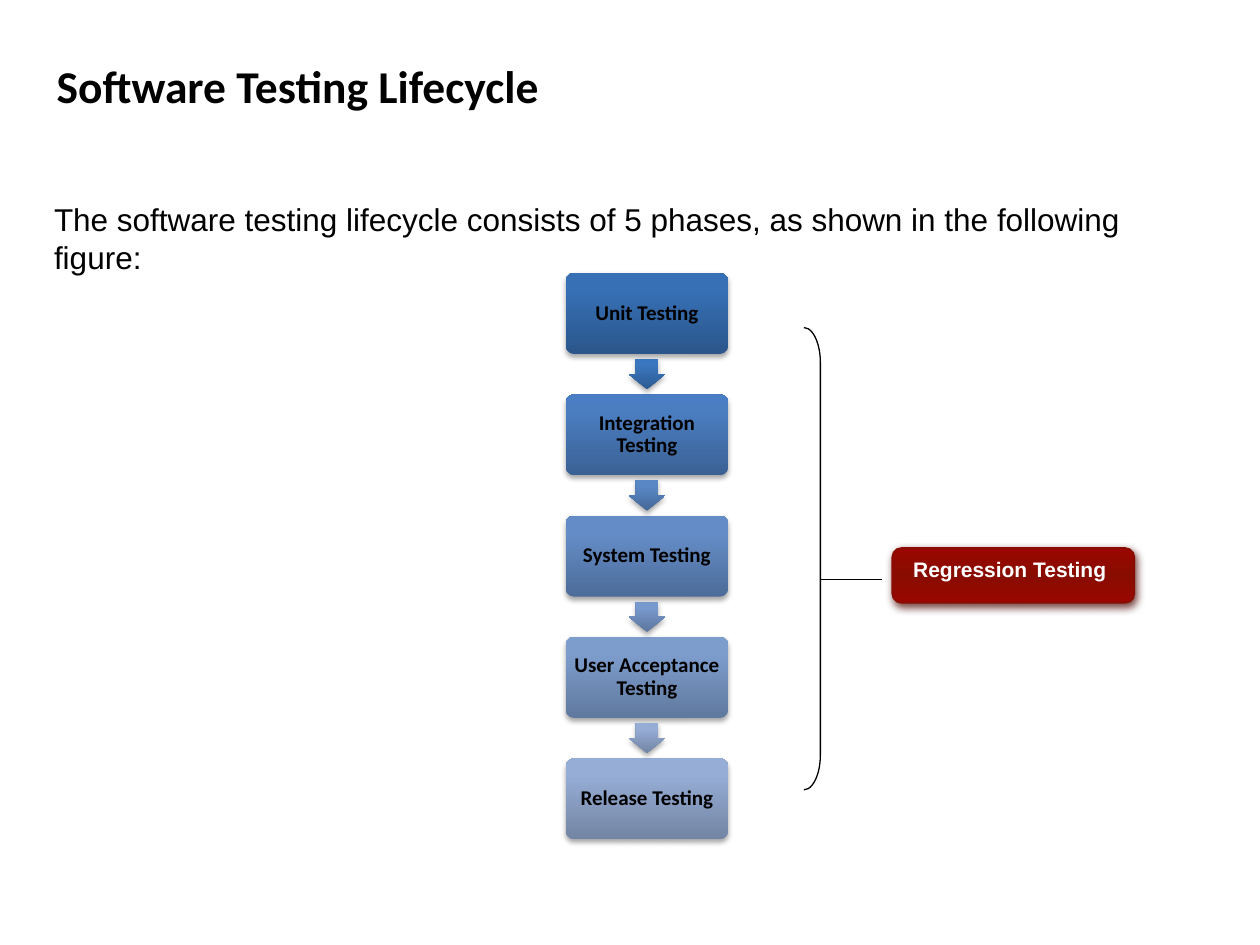
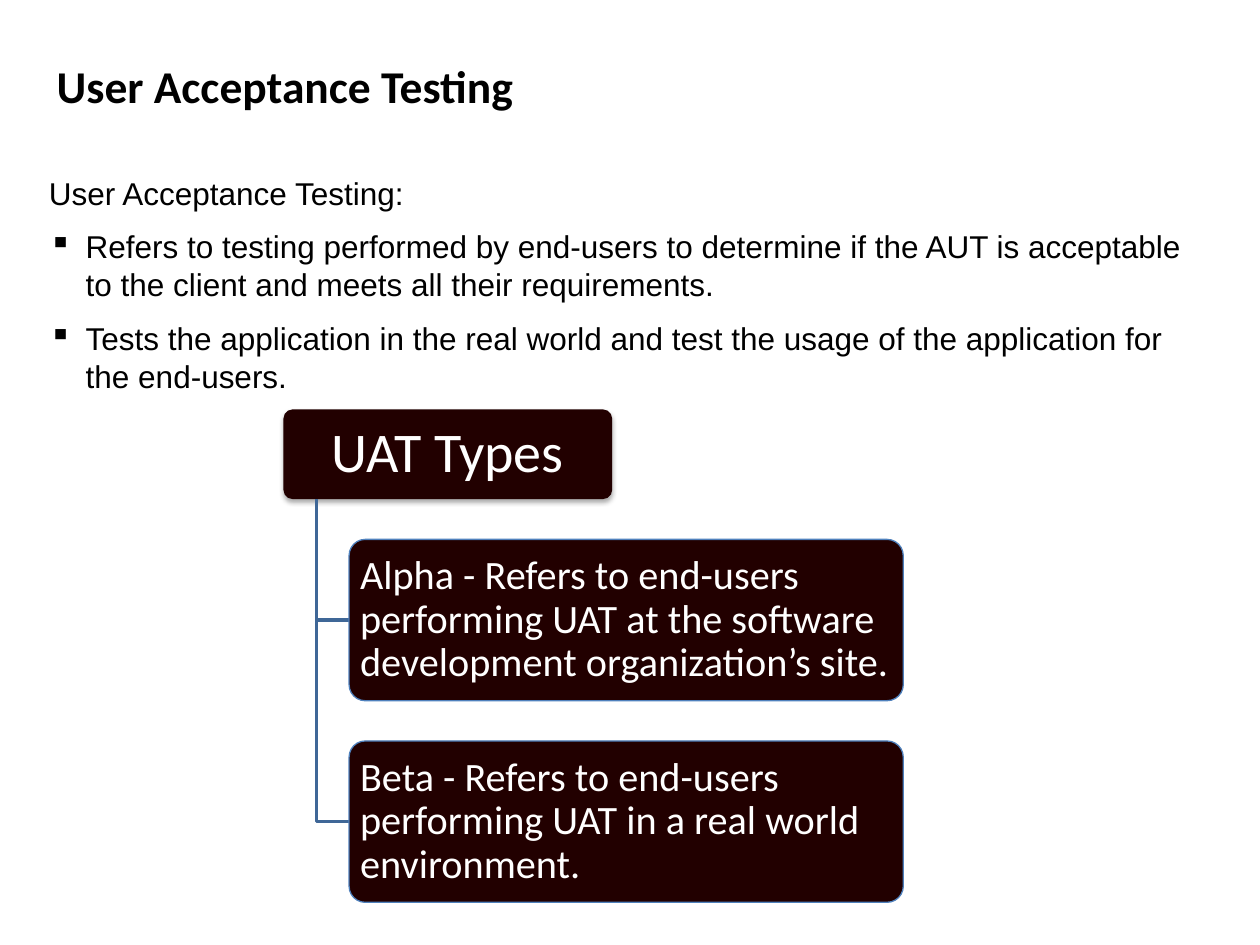
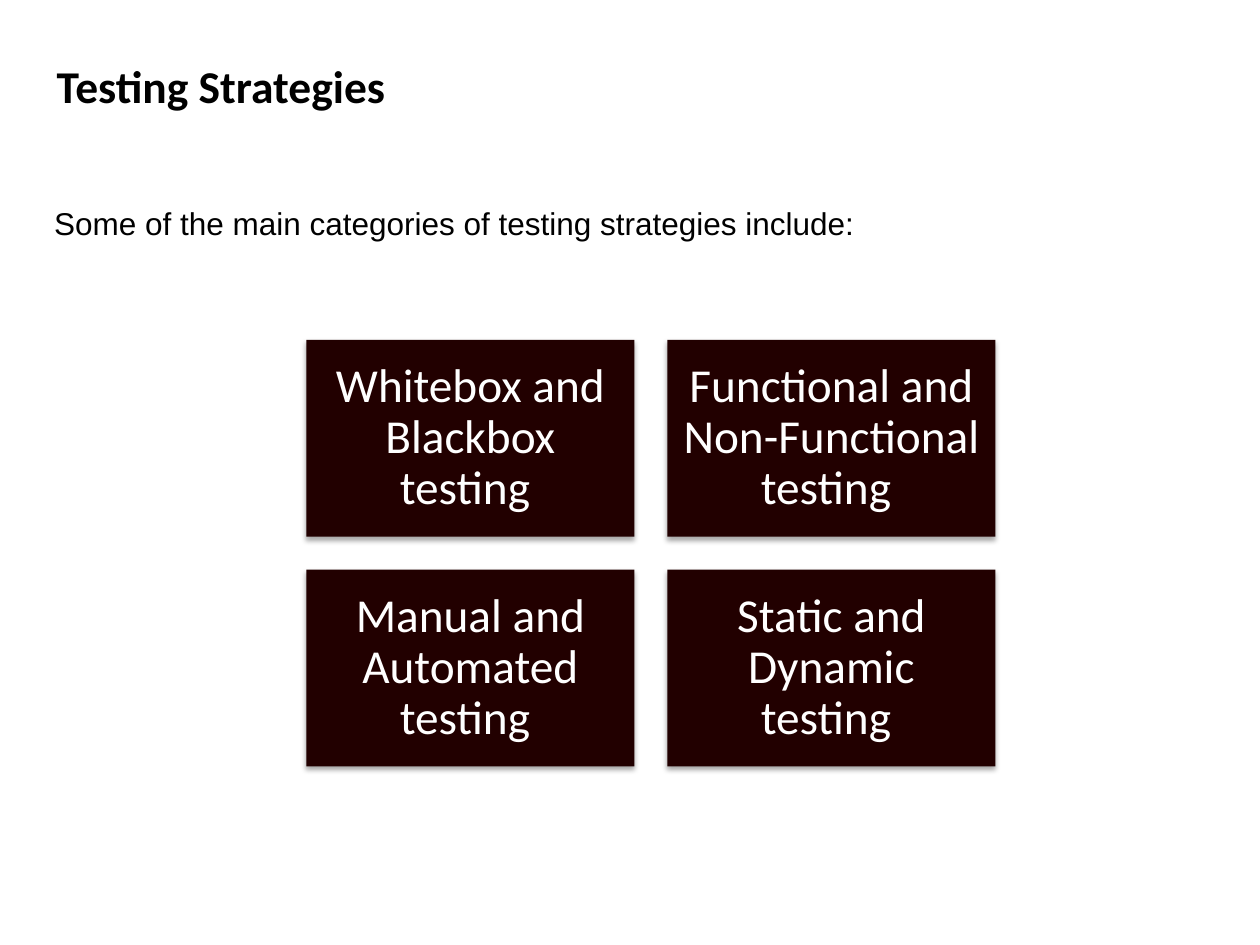
from lxml import etree
from pptx import Presentation
from pptx.dml.color import RGBColor
from pptx.enum.shapes import MSO_CONNECTOR, MSO_SHAPE
from pptx.enum.text import MSO_ANCHOR, MSO_AUTO_SIZE, PP_ALIGN
from pptx.oxml.ns import qn
from pptx.util import Pt

ROUNDED, RECTANGLE = MSO_SHAPE.ROUNDED_RECTANGLE, MSO_SHAPE.RECTANGLE
DOWN_ARROW, RIGHT_BRACKET = MSO_SHAPE.DOWN_ARROW, MSO_SHAPE.RIGHT_BRACKET
STRAIGHT = MSO_CONNECTOR.STRAIGHT
TOP, MIDDLE = MSO_ANCHOR.TOP, MSO_ANCHOR.MIDDLE
LEFT, CENTER = PP_ALIGN.LEFT, PP_ALIGN.CENTER
NO_FIT, GROW = MSO_AUTO_SIZE.NONE, MSO_AUTO_SIZE.SHAPE_TO_FIT_TEXT
TITLE_ONLY = 5

BLACK = RGBColor(0x00, 0x00, 0x00)
WHITE = RGBColor(0xFF, 0xFF, 0xFF)
MAROON = RGBColor(0x22, 0x00, 0x00)
RED = RGBColor(0x99, 0x07, 0x00)
DEEP_RED = RGBColor(0x89, 0x0C, 0x00)
RED_SHADE = RGBColor(0x49, 0x06, 0x00)
BLUE = RGBColor(0x4F, 0x81, 0xBD)
BRANCH_BLUE = RGBColor(0x3F, 0x67, 0x97)

HEAD_FONT, BODY_FONT = "Calibri", "Arial"
TITLE_BOX = (25.2, 3.6, 612, 90)
SOFT_SHADOW = (BLACK, 35, 3.1, 1.8, 90)
RED_SHADOW = (RED_SHADE, 75, 5, 2.3, 65)
BLUE_STOPS, RED_STOPS = (0, 80, 100), (0, 50, 100)

PHASES = [
    ("Unit Testing", ("2A568B", "3770B5", "3570B8")),
    ("Integration Testing", ("3A6194", "4B7EC1", "497EC4")),
    ("System Testing", ("4D6C99", "648DC7", "638DCA")),
    ("User Acceptance Testing", ("60799E", "7D9DCD", "7C9DD0")),
    ("Release Testing", ("7385A4", "96ADD5", "95ADD7")),
]
ARROWS = [
    ("2D5B92", "3A76BE", "3876C2"),
    ("446898", "5987C5", "5787C8"),
    ("5C769E", "7799CD", "7699CF"),
    ("7385A4", "95ACD5", "94ADD7"),
]
UAT_POINTS = [
    "Refers to testing performed by end-users to determine if the AUT is "
    "acceptable to the client and meets all their requirements.",
    "Tests the application in the real world and test the usage of the "
    "application for the end-users.",
]
UAT_TYPES = [
    "Alpha - Refers to end-users performing UAT at the software development "
    "organization’s site.",
    "Beta - Refers to end-users performing UAT in a real world environment.",
]
STRATEGIES = [
    "Whitebox and Blackbox testing ",
    "Functional and Non-Functional testing ",
    "Manual and Automated testing ",
    "Static and Dynamic testing ",
]


def points(*lengths):
    """Convert numbers of points to lengths."""
    return [Pt(length) for length in lengths]


def add_run(paragraph, text, size, font, color, bold=False):
    """Add one formatted run to a paragraph."""
    run = paragraph.add_run()
    run.text = text
    run.font.size, run.font.name, run.font.bold = Pt(size), font, bold
    run.font.color.rgb = color


def add_color(parent, color):
    """Append a colour element to an XML parent and return it."""
    return etree.SubElement(parent, qn("a:srgbClr"), val=str(color))


def add_shadow(shape, color, opacity, blur, distance, angle):
    """Give a shape an outer shadow."""
    effects = shape._element.spPr.find(qn("a:effectLst"))
    outer = etree.SubElement(
        effects, qn("a:outerShdw"), blurRad=str(Pt(blur)), dist=str(Pt(distance)),
        dir=str(angle * 60000), algn="ctr", rotWithShape="0")
    etree.SubElement(add_color(outer, color), qn("a:alpha"), val=str(opacity * 1000))


def fill_gradient(shape, positions, colors):
    """Fill a shape with a gradient that runs from bottom to top."""
    shape.fill.gradient()
    shape.fill.gradient_angle = 90
    stops = shape._element.spPr.find(qn("a:gradFill")).find(qn("a:gsLst"))
    stops.clear()
    for position, color in zip(positions, colors):
        add_color(etree.SubElement(stops, qn("a:gs"), pos=str(position * 1000)), color)


def add_panel(slide, kind, box, adjust=None, fill=None, line=None, shadow=None):
    """Add a preset shape with an optional solid fill, outline and shadow."""
    panel = slide.shapes.add_shape(kind, *points(*box))
    panel.shadow.inherit = False
    for index, value in enumerate(adjust or ()):
        panel.adjustments[index] = value
    if fill is None:
        panel.fill.background()
    else:
        panel.fill.solid()
        panel.fill.fore_color.rgb = fill
    if line is None:
        panel.line.fill.background()
    else:
        color, width = line
        panel.line.color.rgb, panel.line.width = color, Pt(width)
    if shadow:
        add_shadow(panel, *shadow)
    return panel


def write_label(panel, text, size, color, margins, align=CENTER, font=HEAD_FONT,
                bold=False, anchor=MIDDLE, spacing=0.9):
    """Write one paragraph inside a panel."""
    frame = panel.text_frame
    frame.word_wrap, frame.vertical_anchor = True, anchor
    side, edge = points(*margins)
    frame.margin_left = frame.margin_right = side
    frame.margin_top = frame.margin_bottom = edge
    paragraph = frame.paragraphs[0]
    paragraph.alignment, paragraph.line_spacing = align, spacing
    add_run(paragraph, text, size, font, color, bold)


def add_titled_slide(deck, heading):
    """Add a title-only slide and format its title."""
    slide = deck.slides.add_slide(deck.slide_layouts[TITLE_ONLY])
    title = slide.shapes.title
    title.left, title.top, title.width, title.height = points(*TITLE_BOX)
    frame = title.text_frame
    frame.word_wrap, frame.auto_size, frame.vertical_anchor = True, NO_FIT, MIDDLE
    frame.paragraphs[0].alignment = LEFT
    add_run(frame.paragraphs[0], heading, 26, HEAD_FONT, BLACK, True)
    return slide


def add_body(slide, box, lead, bullets=()):
    """Add a lead sentence followed by bulleted points."""
    frame = slide.shapes.add_textbox(*points(*box)).text_frame
    frame.word_wrap, frame.auto_size = True, GROW
    for index, text in enumerate([lead, *bullets]):
        paragraph = frame.add_paragraph() if index else frame.paragraphs[0]
        paragraph.space_before = Pt(9)
        if index:
            properties = paragraph._p.get_or_add_pPr()
            properties.set("marL", str(Pt(21)))
            properties.set("indent", str(Pt(-21)))
            etree.SubElement(properties, qn("a:buChar"), char="▪")
        add_run(paragraph, text, 18, BODY_FONT, BLACK)


def add_phase_flow(slide, box):
    """Stack the testing phases in a box with arrows between them."""
    left, top, width, height = box
    phase_height, arrow_width, arrow_height = 46.3, 21, 17.4
    pitch = (height - phase_height) / (len(PHASES) - 1)
    for index, (phase, colors) in enumerate(PHASES):
        panel = add_panel(slide, ROUNDED, (left, top + index * pitch, width, phase_height),
                          [0.1], shadow=SOFT_SHADOW)
        fill_gradient(panel, BLUE_STOPS, colors)
        write_label(panel, phase, 12, BLACK, (3.6, 3.6), bold=True)
    gap = pitch - phase_height
    for index, colors in enumerate(ARROWS):
        arrow_top = top + index * pitch + phase_height + (gap - arrow_height) / 2
        arrow = add_panel(slide, DOWN_ARROW,
                          (left + (width - arrow_width) / 2, arrow_top, arrow_width, arrow_height),
                          [0.6, 0.5], shadow=SOFT_SHADOW)
        fill_gradient(arrow, BLUE_STOPS, colors)


def add_regression_bracket(slide, box):
    """Bracket the phases and tie the bracket to the regression label."""
    left, top, width, height = box
    bracket_width, label_width, label_height = 9.4, 138.3, 31.3
    add_panel(slide, RIGHT_BRACKET, (left, top, bracket_width, height), [2.148],
              line=(BLACK, 0.75))
    label_left = left + width - label_width
    label = add_panel(slide, ROUNDED, (label_left, top + 126, label_width, label_height),
                      [0.167], line=(DEEP_RED, 1), shadow=RED_SHADOW)
    fill_gradient(label, RED_STOPS, (RED, DEEP_RED, RED))
    write_label(label, " Regression Testing", 12, WHITE, (7.2, 3.6), LEFT, BODY_FONT,
                True, TOP, 1.0)
    label.text_frame.paragraphs[0].space_after = Pt(10)
    tie_y = top + 144
    tie = slide.shapes.add_connector(
        STRAIGHT, *points(left + bracket_width, tie_y, label_left - 5.8, tie_y))
    tie.line.color.rgb, tie.line.width = BLACK, Pt(0.75)
    etree.SubElement(tie._element.spPr, qn("a:effectLst"))


def add_branch(slide, x, top, bottom, reach):
    """Draw an elbow line down and to the right."""
    builder = slide.shapes.build_freeform(*points(x, top))
    builder.add_line_segments([points(x, bottom), points(x + reach, bottom)], close=False)
    branch = builder.convert_to_shape()
    branch.shadow.inherit = False
    branch.fill.background()
    branch.line.color.rgb, branch.line.width = BRANCH_BLUE, Pt(2)


def add_uat_tree(slide, box):
    """Hang the acceptance test types from their heading in a box."""
    left, top, width, height = box
    root_width, root_height, type_height = 187.8, 51.2, 92.2
    stem, indent = 18.8, 37.5
    pitch = height - type_height - (type_top := 74.2)
    root = add_panel(slide, ROUNDED, (left, top, root_width, root_height), [0.1],
                     MAROON, shadow=SOFT_SHADOW)
    write_label(root, "UAT Types", 32, WHITE, (4.8, 3.2))
    for index, uat_type in enumerate(UAT_TYPES):
        y = top + type_top + index * pitch
        add_branch(slide, left + stem, top + root_height, y + type_height / 2, indent - stem)
        panel = add_panel(slide, ROUNDED, (left + indent, y, width - indent, type_height),
                          [0.1], MAROON, (BLUE, 0.75))
        write_label(panel, uat_type, 23, WHITE, (3.6, 2.3), LEFT)


def add_strategy_grid(slide, box):
    """Set the testing strategies in a grid of two columns."""
    left, top, width, height = box
    gap, columns = 18.8, 2
    cell_width, cell_height = (width - gap) / columns, (height - gap) / columns
    for index, strategy in enumerate(STRATEGIES):
        row, column = divmod(index, columns)
        cell = (left + column * (cell_width + gap), top + row * (cell_height + gap),
                cell_width, cell_height)
        panel = add_panel(slide, RECTANGLE, cell, fill=MAROON, shadow=SOFT_SHADOW)
        write_label(panel, strategy, 27, WHITE, (8, 8))


def main():
    """Build the three slides and save the deck."""
    deck = Presentation()
    deck.slide_width, deck.slide_height = points(720, 540)

    lifecycle = add_titled_slide(deck, "Software Testing Lifecycle")
    add_body(lifecycle, (23.8, 110.9, 678, 51),
             "The software testing lifecycle consists of 5 phases, as shown in the "
             "following figure:")
    add_phase_flow(lifecycle, (323.3, 156, 92.8, 323.6))
    add_regression_bracket(lifecycle, (459.4, 187.2, 188.8, 264.2))

    acceptance = add_titled_slide(deck, "User Acceptance Testing")
    add_uat_tree(acceptance, (162, 234, 354.2, 281.6))
    add_body(acceptance, (20.9, 95.8, 666, 138.2), "User Acceptance Testing:", UAT_POINTS)

    strategies = add_titled_slide(deck, "Testing Strategies")
    add_body(strategies, (23.8, 113, 666, 28.8),
             "Some of the main categories of testing strategies include:")
    add_strategy_grid(strategies, (175, 194.2, 393.8, 243.8))

    deck.save("out.pptx")


if __name__ == "__main__":
    main()
